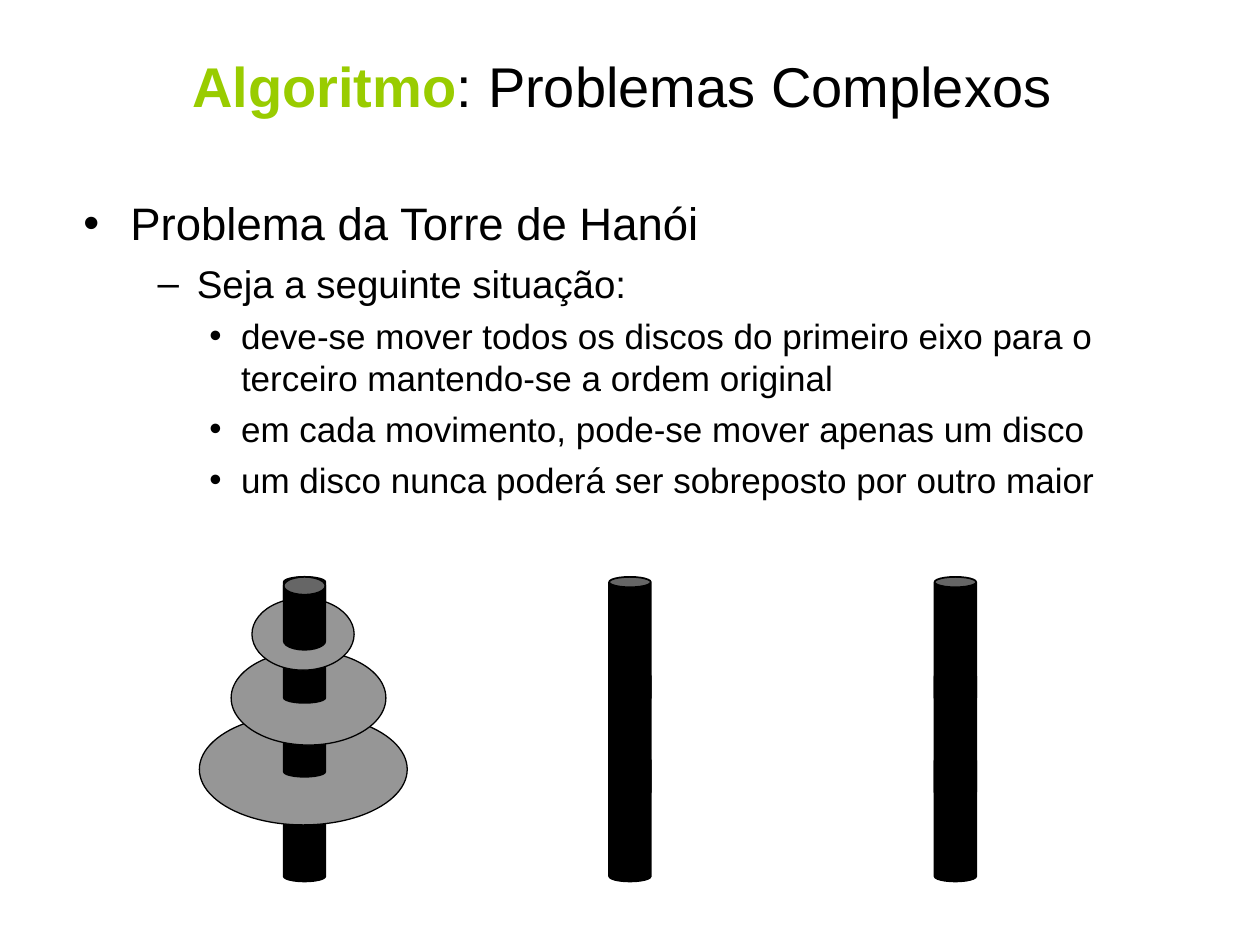
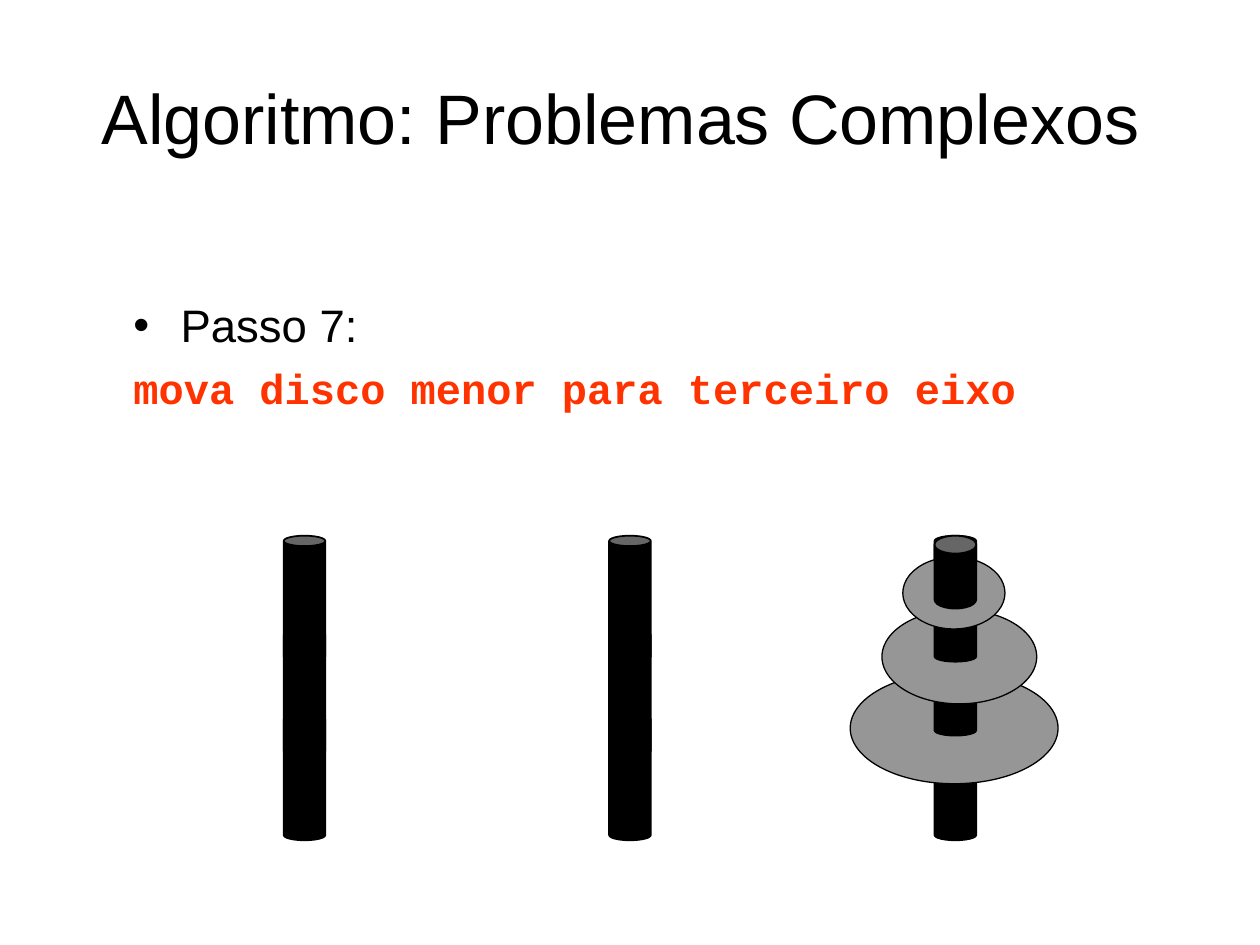
from lxml.etree import SubElement
from pptx import Presentation
from pptx.dml.color import RGBColor
from pptx.enum.shapes import MSO_SHAPE
from pptx.enum.text import MSO_ANCHOR, PP_ALIGN
from pptx.oxml.ns import qn
from pptx.util import Cm, Pt

BLACK, GRAY, GREEN, RED = "000000", "969696", "99CC00", "FF3300"

FRAME = {"word_wrap": True, "margin_left": Cm(0.18), "margin_right": Cm(0.18),
         "margin_top": 0, "margin_bottom": 0}
PLAIN = {"name": "Arial", "bold": False}
CODE = {"name": "Courier New", "bold": True}

LEVELS = {
    "main": {"size": 26, "gap": 6.5, "left": 0.95, "hang": 0.95, "mark": "•", "font": PLAIN, "hue": BLACK},
    "sub": {"size": 22, "gap": 5.5, "left": 2.29, "hang": 0.79, "mark": "–", "font": PLAIN, "hue": BLACK},
    "point": {"size": 20, "gap": 5, "left": 3.18, "hang": 0.64, "mark": "•", "font": PLAIN, "hue": BLACK},
    "code": {"size": 24, "gap": 6, "left": 0.95, "hang": 0.95, "mark": "", "font": CODE, "hue": RED},
}

POLE, FIRST, STEP = 0.84, 5.72, 6.56
BARE = [("can", 0, 3.6, POLE, 2.54), ("can", 0, 1.9, POLE, 2.54), ("can", 0, 0, POLE, 2.54)]
FULL = [
    ("can", 0, 3.6, POLE, 2.54),
    ("can", 0, 1.9, POLE, 2.54),
    ("disc", -1.7, 2.76, 4.19, 2.24),
    ("can", 0, 1.49, POLE, 2.54),
    ("disc", -1.06, 1.49, 3.12, 1.9),
    ("can", 0, 0, POLE, 2.54),
    ("disc", -0.64, 0.43, 2.06, 1.45),
    ("can", 0, 0, POLE, 1.47),
]
KINDS = {"can": (MSO_SHAPE.CAN, BLACK, 1), "disc": (MSO_SHAPE.OVAL, GRAY, 0.75)}

PAGES = [
    {
        "title": [("Algoritmo", GREEN, True), (": Problemas Complexos ", BLACK, False)],
        "size": 32, "high": 1.6, "body": (1.5, 3.94, 20.96, 7.57),
        "lines": [
            ("main", "Problema da Torre de Hanói"),
            ("sub", "Seja a seguinte situação:"),
            ("point", "deve-se mover todos os discos do primeiro eixo para o terceiro mantendo-se a ordem original"),
            ("point", "em cada movimento, pode-se mover apenas um disco"),
            ("point", "um disco nunca poderá ser sobreposto por outro maior"),
        ],
        "top": 11.63, "stack": 0,
    },
    {
        "title": [("Algoritmo: Problemas Complexos ", BLACK, False)],
        "size": 40, "high": 2.87, "body": (2.51, 5.99, 20.4, 9.88),
        "lines": [("main", "Passo 7:"), ("code", "mova disco menor para terceiro eixo")],
        "top": 10.8, "stack": 2,
    },
]


def hue(code):
    return RGBColor.from_string(code)


def add_box(page, *place):
    frame = page.shapes.add_textbox(*map(Cm, place)).text_frame
    for key, value in FRAME.items():
        setattr(frame, key, value)
    return frame


deck = Presentation()
deck.slide_width, deck.slide_height = Cm(25.4), Cm(19.05)

for data in PAGES:
    page = deck.slides.add_slide(deck.slide_layouts[6])

    for spot in range(3):
        parts = FULL if spot == data["stack"] else BARE
        tower = page.shapes.add_group_shape().shapes
        for kind, x, y, wide, high in parts:
            form, tone, edge = KINDS[kind]
            place = (FIRST + spot * STEP + x, data["top"] + y, wide, high)
            part = tower.add_shape(form, *map(Cm, place))
            part.shadow.inherit = False
            part.fill.solid()
            part.fill.fore_color.rgb = hue(tone)
            part.line.color.rgb = hue(BLACK)
            part.line.width = Pt(edge)
            if kind == "can":
                part.adjustments[0] = 0.43 if high < 2 else 0.25

    body = add_box(page, *data["body"])
    for rank, (name, text) in enumerate(data["lines"]):
        style = LEVELS[name]
        line = body.add_paragraph() if rank else body.paragraphs[0]
        line.space_before = Pt(style["gap"])
        props = line._p.get_or_add_pPr()
        props.set("marL", str(Cm(style["left"])))
        props.set("indent", str(-Cm(style["hang"])))
        if style["mark"]:
            tint = SubElement(props, qn("a:buClr"))
            SubElement(tint, qn("a:srgbClr"), val=BLACK)
            SubElement(props, qn("a:buFont"), typeface="Arial")
            SubElement(props, qn("a:buChar"), char=style["mark"])
        else:
            SubElement(props, qn("a:buNone"))
        run = line.add_run()
        run.text = text
        for key, value in {**style["font"], "size": Pt(style["size"])}.items():
            setattr(run.font, key, value)
        run.font.color.rgb = hue(style["hue"])

    head = add_box(page, 1.27, 0.91, 22.86, data["high"])
    head.vertical_anchor = MSO_ANCHOR.MIDDLE
    line = head.paragraphs[0]
    line.alignment = PP_ALIGN.CENTER
    for text, tone, bold in data["title"]:
        run = line.add_run()
        run.text = text
        for key, value in {**PLAIN, "size": Pt(data["size"]), "bold": bold}.items():
            setattr(run.font, key, value)
        run.font.color.rgb = hue(tone)

deck.save("out.pptx")
